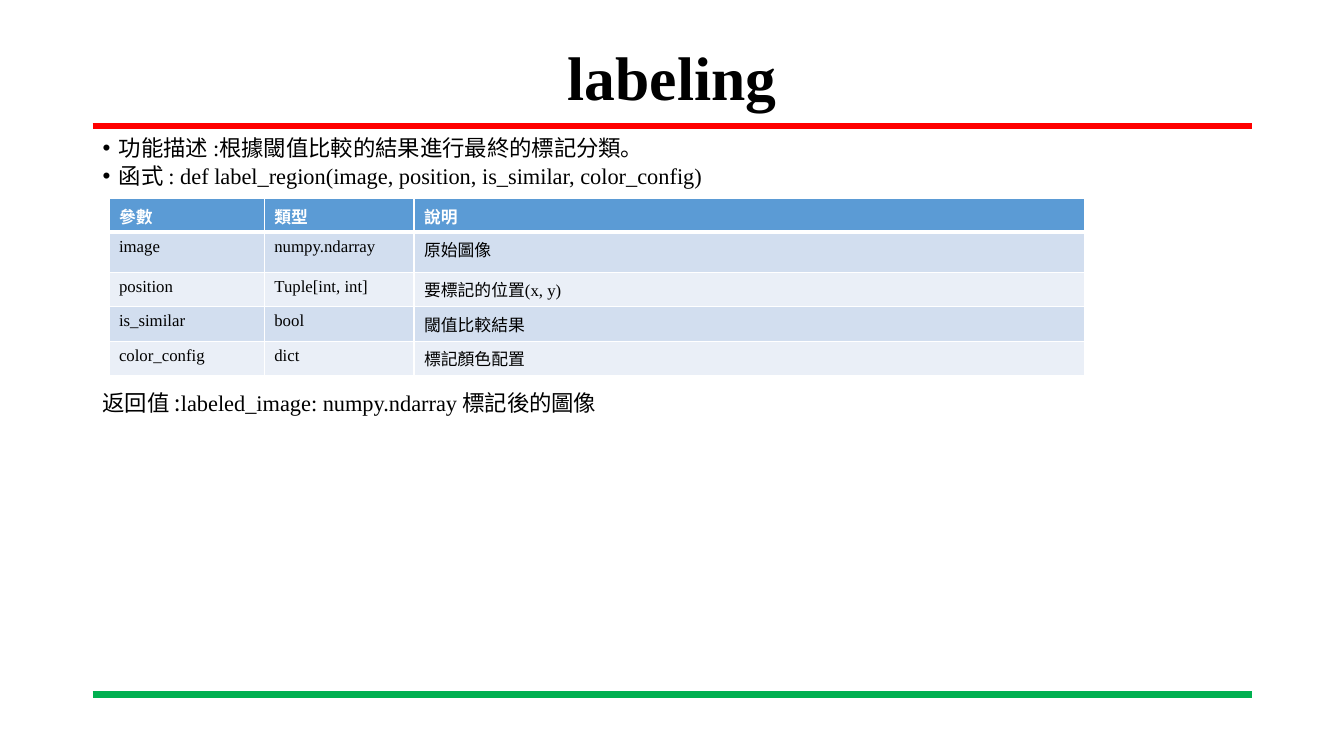
from lxml import etree
from pptx import Presentation
from pptx.dml.color import RGBColor
from pptx.enum.shapes import MSO_CONNECTOR
from pptx.enum.text import MSO_ANCHOR, PP_ALIGN
from pptx.oxml.ns import qn
from pptx.util import Pt

STRAIGHT = MSO_CONNECTOR.STRAIGHT
MIDDLE = MSO_ANCHOR.MIDDLE
TOP = MSO_ANCHOR.TOP
CENTER = PP_ALIGN.CENTER
LEFT = PP_ALIGN.LEFT

LATIN = "Times New Roman"
CJK = "Noto Sans CJK SC"
MARGIN = 66.24
CONTENT_WIDTH = 828

PARAMETERS = [
    ["參數", "類型", "說明"],
    ["image", "numpy.ndarray", "原始圖像"],
    ["position", "Tuple[int, int]", "要標記的位置(x, y)"],
    ["is_similar", "bool", "閾值比較結果"],
    ["color_config", "dict", "標記顏色配置"],
]
COLUMN_WIDTHS = [111, 107, 479]
ROW_HEIGHTS = [24, 28.8, 24.6, 24.6, 24.6]


def color(value):
    return RGBColor.from_string(value)


def set_attributes(target, values):
    for name, value in values.items():
        setattr(target, name, value)


class SlideBuilder:
    body_font = {"size": Pt(16), "bold": False}
    title_font = {"size": Pt(44), "bold": True}
    cell_font = {"size": Pt(12), "bold": False}
    header_font = {"size": Pt(12), "bold": True}
    header_fill = "5B9BD5"
    band_fills = ["EAEFF7", "D2DEEF"]
    border_color = "FFFFFF"

    def __init__(self, presentation):
        self.slide = presentation.slides.add_slide(presentation.slide_layouts[5])

    def add_runs(self, paragraph, runs, values, text_color="000000"):
        for text, font_name in runs:
            run = paragraph.add_run()
            run.text = text
            set_attributes(run.font, {**values, "name": font_name})
            run.font.color.rgb = color(text_color)
            east_asian = etree.SubElement(run.font._element, qn("a:ea"))
            east_asian.set("typeface", CJK)

    def title(self, text, left, top, width, height):
        shape = self.slide.shapes.title
        set_attributes(shape, {"left": Pt(left), "top": Pt(top),
                               "width": Pt(width), "height": Pt(height)})
        set_attributes(shape.text_frame, {"word_wrap": True, "vertical_anchor": MIDDLE})
        paragraph = shape.text_frame.paragraphs[0]
        set_attributes(paragraph, {"alignment": CENTER, "line_spacing": 0.9})
        self.add_runs(paragraph, [(text, LATIN)], self.title_font)

    def rule(self, y, line_color):
        line = self.slide.shapes.add_connector(
            STRAIGHT, Pt(MARGIN), Pt(y), Pt(MARGIN + CONTENT_WIDTH), Pt(y))
        line.line.color.rgb = color(line_color)
        line.line.width = Pt(4.5)
        etree.SubElement(line._element.spPr, qn("a:effectLst"))

    def text(self, paragraphs, top, height, bulleted=False):
        box = self.slide.shapes.add_textbox(
            Pt(MARGIN), Pt(top), Pt(CONTENT_WIDTH), Pt(height))
        frame = box.text_frame
        set_attributes(frame, {"word_wrap": True, "vertical_anchor": TOP})
        for index, runs in enumerate(paragraphs):
            paragraph = frame.add_paragraph() if index else frame.paragraphs[0]
            set_attributes(paragraph, {"alignment": LEFT, "line_spacing": 0.9,
                                       "space_before": Pt(3 if index else 0)})
            if bulleted:
                self.bullet(paragraph)
            self.add_runs(paragraph, runs, self.body_font)

    def bullet(self, paragraph):
        properties = paragraph._p.get_or_add_pPr()
        properties.set("marL", str(Pt(11.5)))
        properties.set("indent", str(-Pt(11.5)))
        etree.SubElement(properties, qn("a:buFont")).set("typeface", "Arial")
        etree.SubElement(properties, qn("a:buChar")).set("char", "•")

    def borders(self, cell, widths):
        properties = cell._tc.get_or_add_tcPr()
        for side, width in widths.items():
            line = etree.SubElement(properties, qn("a:ln" + side))
            line.set("w", str(Pt(width)))
            fill = etree.SubElement(line, qn("a:solidFill"))
            etree.SubElement(fill, qn("a:srgbClr")).set("val", self.border_color)

    def table(self, rows, left, top, column_widths, row_heights):
        frame = self.slide.shapes.add_table(
            len(rows), len(column_widths), Pt(left), Pt(top),
            Pt(sum(column_widths)), Pt(sum(row_heights)))
        table = frame.table
        for column, width in zip(table.columns, column_widths):
            column.width = Pt(width)
        for row, height in zip(table.rows, row_heights):
            row.height = Pt(height)
        for row_index, row in enumerate(rows):
            header = row_index == 0
            fill = self.header_fill if header else self.band_fills[row_index % 2]
            widths = {"L": 1, "R": 1, "T": 3 if row_index == 1 else 1,
                      "B": 3 if header else 1}
            for column_index, text in enumerate(row):
                cell = table.cell(row_index, column_index)
                self.borders(cell, widths)
                cell.fill.solid()
                cell.fill.fore_color.rgb = color(fill)
                self.add_runs(cell.text_frame.paragraphs[0], [(text, LATIN)],
                              self.header_font if header else self.cell_font,
                              "FFFFFF" if header else "000000")


def main():
    presentation = Presentation()
    set_attributes(presentation, {"slide_width": Pt(960), "slide_height": Pt(540)})
    builder = SlideBuilder(presentation)
    builder.rule(90, "FF0000")
    builder.rule(496, "00B050")
    builder.title("labeling", MARGIN, 28.8, CONTENT_WIDTH, 56.9)
    builder.text([
        [("功能描述 :根據閾值比較的結果進行最終的標記分類。", LATIN)],
        [("函式 : def label_region(image, position, is_similar, color_config)", LATIN)],
    ], 94.3, 46, bulleted=True)
    builder.table(PARAMETERS, 77.8, 141.8, COLUMN_WIDTHS, ROW_HEIGHTS)
    builder.text([[
        ("返回值 ", LATIN),
        (":", CJK),
        ("labeled_image: numpy.ndarray", LATIN),
        (" 標記後的圖像", CJK),
    ]], 276.5, 28)
    presentation.save("out.pptx")


if __name__ == "__main__":
    main()
